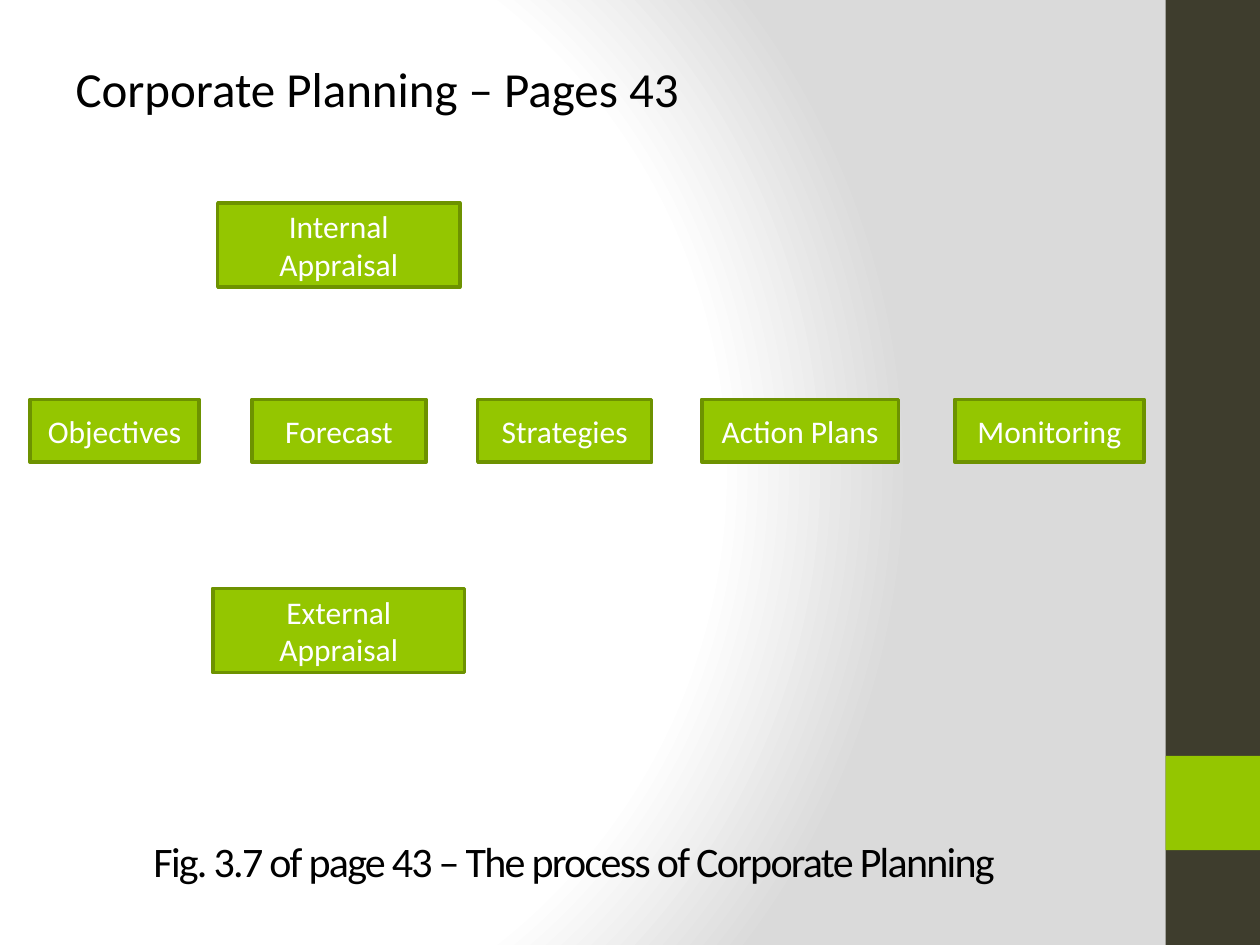
from pptx import Presentation
from pptx.dml.color import RGBColor
from pptx.enum import shapes, text
from pptx.oxml import parse_xml
from pptx.oxml import ns
from pptx.util import Cm, Pt

GREEN = RGBColor(0x94, 0xC6, 0x00)
EDGE = RGBColor(0x6D, 0x92, 0x00)
DARK = RGBColor(0x3E, 0x3D, 0x2D)
BLACK = RGBColor(0, 0, 0)
WHITE = RGBColor(255, 255, 255)
GREY = RGBColor(0xDA, 0xDA, 0xDA)


def write(shape, words, size=18, color=WHITE, align=text.PP_ALIGN.CENTER,
          anchor=text.MSO_ANCHOR.MIDDLE, track=None):
    frame = shape.text_frame
    frame.word_wrap = True
    frame.auto_size = text.MSO_AUTO_SIZE.NONE
    frame.vertical_anchor = anchor
    para = frame.paragraphs[0]
    para.alignment = align
    para.space_before = Pt(0)
    run = para.add_run()
    run.text = words
    run.font.name = "Calibri"
    run.font.size = Pt(size)
    run.font.color.rgb = color
    if track is not None:
        run.font._element.set("spc", str(round(track * 100)))
    return para


def rect(slide, left, top, width, height, fill, line=None):
    box = slide.shapes.add_shape(shapes.MSO_SHAPE.RECTANGLE,
                                 Cm(left), Cm(top), Cm(width), Cm(height))
    box.shadow.inherit = False
    box.fill.solid()
    box.fill.fore_color.rgb = fill
    if line is None:
        box.line.fill.background()
    else:
        box.line.color.rgb = line
        box.line.width = Pt(2)
    return box


def place(shape, left, top, width, height):
    shape.left, shape.top = Cm(left), Cm(top)
    shape.width, shape.height = Cm(width), Cm(height)


def backdrop(slide):
    stops = "".join(
        f'<a:gs pos="{pos * 1000}"><a:srgbClr val="{color}"/></a:gs>'
        for pos, color in ((0, WHITE), (75, WHITE), (100, GREY)))
    slide.element.cSld.insert(0, parse_xml(
        f'<p:bg {ns.nsdecls("p", "a")}><p:bgPr><a:gradFill rotWithShape="1">'
        f'<a:gsLst>{stops}</a:gsLst><a:path path="circle">'
        '<a:fillToRect l="20000" t="50000" r="100000" b="50000"/></a:path>'
        '</a:gradFill><a:effectLst/></p:bgPr></p:bg>'))


def sidebar(slide, left, top, width, height):
    rect(slide, left, top, width, height, DARK)
    # Square accent, four fifths of the way down
    rect(slide, left, top + height * 0.8, width, width, GREEN)


def headings(slide, left, top):
    # Heading in the body placeholder, without a bullet
    body = slide.placeholders[1]
    place(body, left, top, 17.58, 2.11)
    para = write(body, "Corporate Planning – Pages 43", size=28, color=BLACK,
                 align=text.PP_ALIGN.LEFT, anchor=text.MSO_ANCHOR.TOP)
    props = para._p.get_or_add_pPr()
    props.set("marL", "0")
    props.set("indent", "0")
    props.append(parse_xml(f'<a:buNone {ns.nsdecls("a")}/>'))
    # Figure caption in the title placeholder
    title = slide.shapes.title
    place(title, left + 1.57, top + 15.65, 19.69, 1.27)
    write(title, "Fig. 3.7 of page 43 – The process of Corporate Planning",
          size=24, color=BLACK, align=text.PP_ALIGN.LEFT,
          anchor=text.MSO_ANCHOR.TOP, track=-1)


def process(slide, left, top):
    # Steps along the middle row: name, offset, width
    steps = (("Objectives", 0, 3.4), ("Forecast", 4.47, 3.51),
             ("Strategies", 9.02, 3.51), ("Action Plans", 13.54, 3.96),
             ("Monitoring", 18.64, 3.81))
    for name, shift, width in steps:
        write(rect(slide, left + shift, top + 3.96, width, 1.27, GREEN, EDGE), name)
    # Appraisals centred above and below the forecast
    mid = left + 6.22
    for name, drop, width in (("Internal Appraisal", 0, 4.88),
                              ("External Appraisal", 7.77, 5.08)):
        write(rect(slide, mid - width / 2, top + drop, width, 1.7, GREEN, EDGE), name)


def main():
    deck = Presentation()
    deck.slide_width, deck.slide_height = Cm(25.4), Cm(19.05)
    slide = deck.slides.add_slide(deck.slide_layouts[1])
    backdrop(slide)
    sidebar(slide, 23.5, 0, 1.9, 19.05)
    headings(slide, 1.27, 1.06)
    process(slide, 0.61, 4.09)
    deck.save("out.pptx")


if __name__ == "__main__":
    main()
